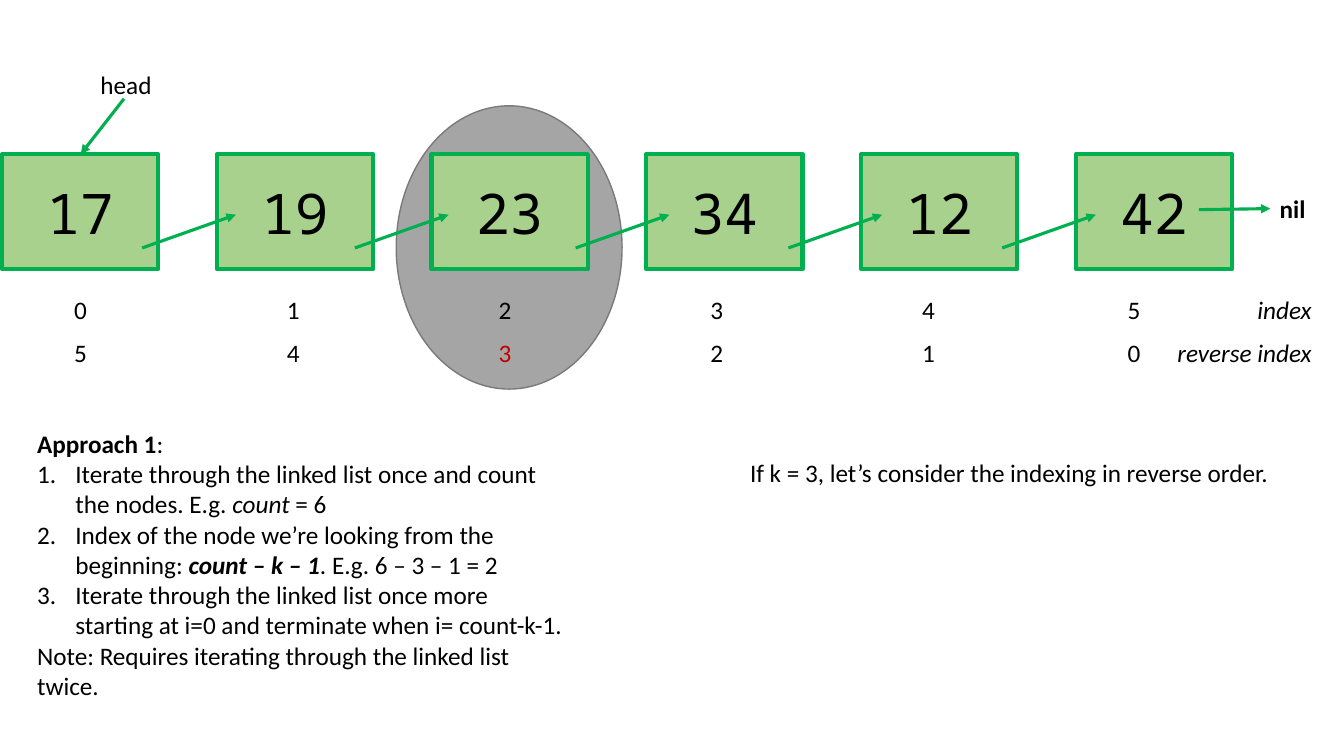
from lxml.etree import SubElement
from pptx import Presentation
from pptx.dml.color import RGBColor
from pptx.enum.shapes import MSO_CONNECTOR, MSO_SHAPE
from pptx.enum.text import MSO_ANCHOR, MSO_AUTO_SIZE, PP_ALIGN
from pptx.oxml.ns import qn
from pptx.util import Pt

PX = 9144  # 100 px to the inch
BLACK = RGBColor(0x00, 0x00, 0x00)
RED = RGBColor(0xC0, 0x00, 0x00)
GREEN = RGBColor(0x00, 0xB0, 0x50)
LIGHT_GREEN = RGBColor(0xA9, 0xD1, 0x8E)
GREY = RGBColor(0xA5, 0xA5, 0xA5)
DARK_GREY = RGBColor(0x7A, 0x7A, 0x7A)
BODY_FONT = "Calibri"
NODE_FONT = "Noto Sans Mono"

# A span is (text, style), where style holds "b", "i" and "r" for bold, italic and red.
NODES = ["17", "19", "23", "34", "12", "42"]
INDEX_ROWS = [
    (287, [("\t0\t1\t2\t3\t4\t5\t", ""), ("index", "i")]),
    (330, [("\t5\t4\t", ""), ("3", "r"), ("\t2\t1\t0\t", ""), ("reverse index", "i")]),
]
APPROACH_TITLE = [("Approach 1", "b"), (":", "")]
APPROACH_STEPS = [
    [("Iterate through the linked list once and count the nodes. E.g. ", ""),
     ("count", "i"), (" = 6", "")],
    [("Index of the node we’re looking from the beginning: ", ""),
     ("count – k – 1", "bi"), (". E.g. 6 – 3 – 1 = 2", "")],
    [("Iterate through the linked list once more starting at i=0 "
      "and terminate when i= count-k-1.", "")],
]
APPROACH_NOTE = [("Note: Requires iterating through the linked list twice.", "")]
LABELS = [
    ("nil", "b", (1224, 187, 116, 40), PP_ALIGN.CENTER),
    ("head", "", (35, 64, 180, 40), PP_ALIGN.CENTER),
    ("If k = 3, let’s consider the indexing in reverse order.", "",
     (734, 449, 548, 40), PP_ALIGN.LEFT),
]

NODE_LEFT, NODE_TOP, NODE_STEP = 2, 153, 213
NODE_WIDTH, NODE_HEIGHT = 155, 114
LINK_STARTS = [141, 352, 571, 782, 994]
LINK_WIDTH, LINK_BOTTOM, LINK_TOP = 93, 246, 213
INDEX_TABS = [68, 279, 489, 699, 909, 1113]
INDEX_NAME_TAB = 1289
STEP_INDENT = 38

deck = Presentation()
deck.slide_width, deck.slide_height = 1333 * PX, 750 * PX
page = deck.slides.add_slide(deck.slide_layouts[6])


def emu(lengths):
    return [length * PX for length in lengths]


def add_spans(para, spans, size=18, font=BODY_FONT, align=PP_ALIGN.LEFT):
    para.alignment = align
    for text, style in spans:
        span = para.add_run()
        span.text = text
        span.font.name = font
        span.font.size = Pt(size)
        span.font.bold = "b" in style
        span.font.italic = "i" in style
        span.font.color.rgb = RED if "r" in style else BLACK


def add_text(frame, paragraphs, **style):
    """Add a text box with one list of spans per paragraph; return its paragraphs."""
    box = page.shapes.add_textbox(*emu(frame)).text_frame
    box.word_wrap = True
    box.auto_size = MSO_AUTO_SIZE.SHAPE_TO_FIT_TEXT
    for number, spans in enumerate(paragraphs):
        para = box.paragraphs[0] if number == 0 else box.add_paragraph()
        add_spans(para, spans, **style)
    return box.paragraphs


def add_shape(kind, frame, fill, line, weight):
    shape = page.shapes.add_shape(kind, *emu(frame))
    shape.shadow.inherit = False
    shape.fill.solid()
    shape.fill.fore_color.rgb = fill
    shape.line.color.rgb = line
    shape.line.width = Pt(weight)
    return shape


def add_arrow(*ends):
    arrow = page.shapes.add_connector(MSO_CONNECTOR.STRAIGHT, *emu(ends))
    arrow.line.color.rgb = GREEN
    arrow.line.width = Pt(2.25)
    properties = arrow.element.spPr
    SubElement(properties.find(qn("a:ln")), qn("a:tailEnd"), type="triangle")
    SubElement(properties, qn("a:effectLst"))


def set_index_tabs(para):
    tabs = SubElement(para._p.get_or_add_pPr(), qn("a:tabLst"))
    stops = [(place, "ctr") for place in INDEX_TABS] + [(INDEX_NAME_TAB, "r")]
    for place, align in stops:
        SubElement(tabs, qn("a:tab"), pos=str(place * PX), algn=align)


def number_step(para):
    properties = para._p.get_or_add_pPr()
    properties.set("marL", str(STEP_INDENT * PX))
    properties.set("indent", str(-STEP_INDENT * PX))
    SubElement(properties, qn("a:buFont"), typeface="+mj-lt")
    SubElement(properties, qn("a:buAutoNum"), type="arabicPeriod")


add_shape(MSO_SHAPE.OVAL, (393, 105, 224, 281), GREY, DARK_GREY, 1)

for number, value in enumerate(NODES):
    left = NODE_LEFT + number * NODE_STEP
    node = add_shape(MSO_SHAPE.RECTANGLE, (left, NODE_TOP, NODE_WIDTH, NODE_HEIGHT),
                     LIGHT_GREEN, GREEN, 3)
    node.text_frame.vertical_anchor = MSO_ANCHOR.MIDDLE
    add_spans(node.text_frame.paragraphs[0], [(value, "")], size=40,
              font=NODE_FONT, align=PP_ALIGN.CENTER)

add_arrow(123, 98, 80, NODE_TOP)
for start in LINK_STARTS:
    add_arrow(start, LINK_BOTTOM, start + LINK_WIDTH, LINK_TOP)
add_arrow(1189, 208, 1260, 207)

for text, style, frame, align in LABELS:
    add_text(frame, [[(text, style)]], align=align)

for top, spans in INDEX_ROWS:
    set_index_tabs(add_text((2, top, 1331, 40), [spans])[0])

approach = add_text((27, 420, 550, 283), [APPROACH_TITLE, *APPROACH_STEPS, APPROACH_NOTE])
for step in approach[1:-1]:
    number_step(step)

deck.save("out.pptx")
